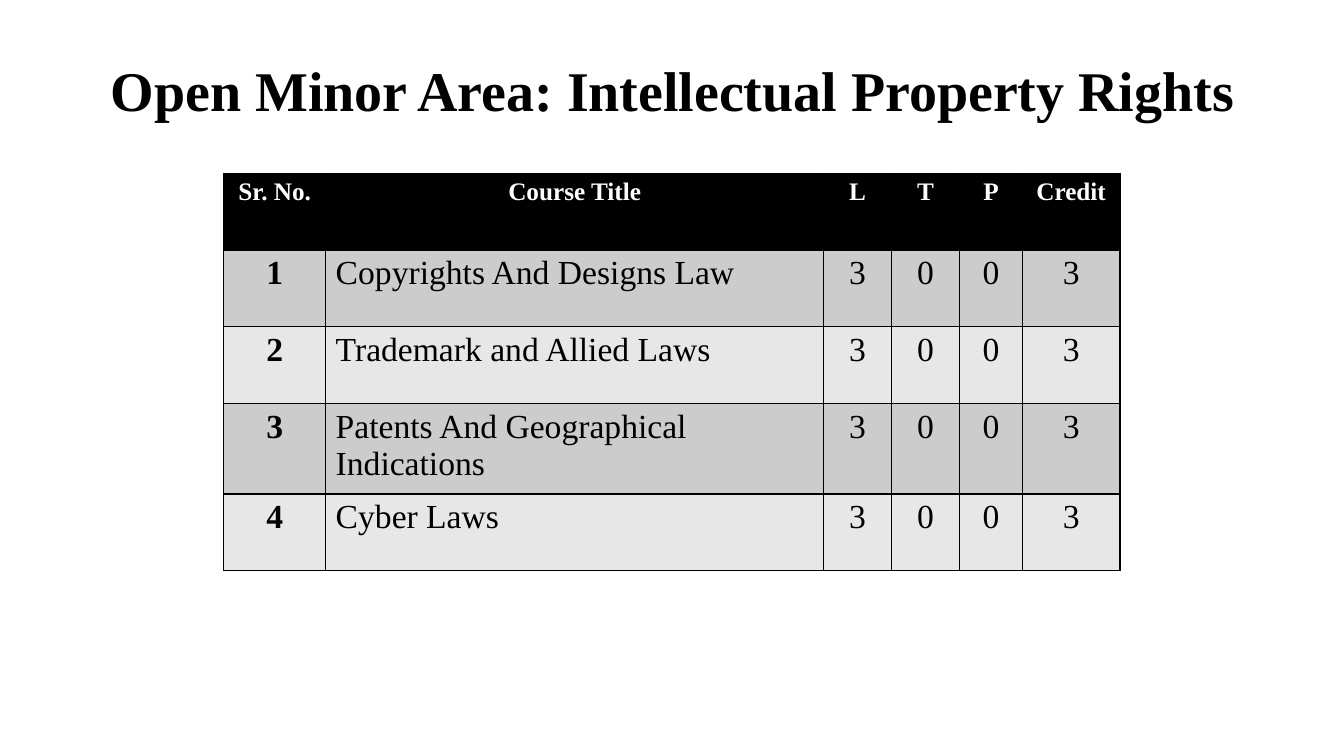
from lxml import etree
from pptx import Presentation
from pptx.dml.color import RGBColor
from pptx.enum.text import MSO_ANCHOR, PP_ALIGN
from pptx.oxml.ns import qn
from pptx.util import Inches, Pt

CENTER, LEFT, MIDDLE = PP_ALIGN.CENTER, PP_ALIGN.LEFT, MSO_ANCHOR.MIDDLE
BLACK = RGBColor(0x00, 0x00, 0x00)
WHITE = RGBColor(0xFF, 0xFF, 0xFF)
BANDS = (RGBColor(0xCC, 0xCC, 0xCC), RGBColor(0xE7, 0xE7, 0xE7))
FONT = "Times New Roman"

TITLE = "Open Minor Area: Intellectual Property Rights"
HEADERS = ("Sr. No.", "Course Title", "L", "T", "P", "Credit")
COURSES = (
    "Copyrights And Designs Law",
    "Trademark and Allied Laws",
    "Patents And Geographical Indications",
    "Cyber Laws",
)
HOURS = ("3", "0", "0", "3")
COL_WIDTHS = (1.01, 4.94, 0.67, 0.68, 0.62, 0.97)
ROW_HEIGHT = 0.76


def write(p, text, size, color, bold, align=CENTER):
    """Put one formatted run of text in a paragraph."""
    p.alignment = align
    r = p.add_run()
    r.text = text
    formats = {"name": FONT, "size": Pt(size), "bold": bold}
    for name, value in formats.items():
        setattr(r.font, name, value)
    r.font.color.rgb = color


def add_borders(cell, color=BLACK, width=1):
    """Draw a solid line on all four sides of a table cell."""
    props = cell._tc.get_or_add_tcPr()
    for side in ("a:lnL", "a:lnR", "a:lnT", "a:lnB"):
        line = etree.SubElement(props, qn(side), w=str(Pt(width)))
        fill = etree.SubElement(line, qn("a:solidFill"))
        etree.SubElement(fill, qn("a:srgbClr"), val=str(color))


def add_title(s, left, top, width, height):
    """Place the slide title in the given box."""
    box = s.shapes.add_textbox(*map(Inches, (left, top, width, height)))
    tf = box.text_frame
    tf.word_wrap = True
    tf.vertical_anchor = MIDDLE
    p = tf.paragraphs[0]
    p.line_spacing = 0.9
    write(p, TITLE, 40, BLACK, True)


def add_courses(s, left, top):
    """Place the course table with its top left corner at the given point."""
    rows = [HEADERS]
    rows += [(str(n), course, *HOURS) for n, course in enumerate(COURSES, 1)]
    size = (sum(COL_WIDTHS), ROW_HEIGHT * len(rows))
    frame = s.shapes.add_table(
        len(rows), len(HEADERS), *map(Inches, (left, top, *size)))
    table = frame.table
    for column, width in zip(table.columns, COL_WIDTHS):
        column.width = Inches(width)
    for i, row in enumerate(rows):
        table.rows[i].height = Inches(ROW_HEIGHT)
        header = i == 0
        for j, text in enumerate(row):
            cell = table.cell(i, j)
            add_borders(cell)
            cell.fill.solid()
            cell.fill.fore_color.rgb = BLACK if header else BANDS[(i - 1) % 2]
            write(
                cell.text_frame.paragraphs[0],
                text,
                18 if header else 24,
                WHITE if header else BLACK,
                header or j == 0,
                LEFT if j == 1 and not header else CENTER,
            )


def main():
    """Build the slide and save it."""
    prs = Presentation()
    prs.slide_width, prs.slide_height = Inches(13.33), Inches(7.5)
    s = prs.slides.add_slide(prs.slide_layouts[6])
    add_title(s, 0.92, 0.4, 11.5, 1.06)
    add_courses(s, 2.22, 1.72)
    prs.save("out.pptx")


if __name__ == "__main__":
    main()
